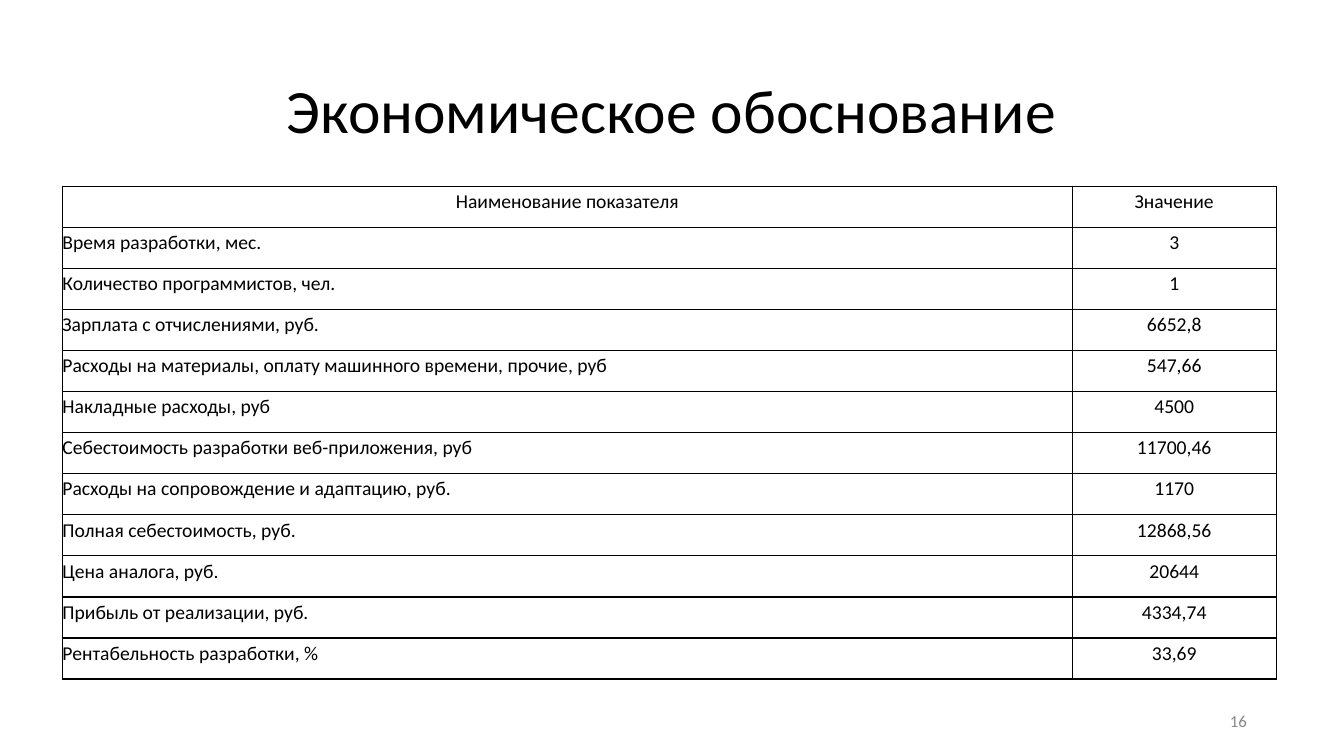
from lxml.etree import SubElement
from pptx import Presentation
from pptx.dml.color import RGBColor
from pptx.enum.text import MSO_ANCHOR, MSO_AUTO_SIZE, PP_ALIGN
from pptx.oxml.ns import qn
from pptx.util import Pt

COLORS = {"text": "000000", "border": "000000", "cell": "FFFFFF", "number": "888888"}

HEADER = ("Наименование показателя", "Значение")
INDICATORS = [
    ("Время разработки, мес.", "3"),
    ("Количество программистов, чел.", "1"),
    ("Зарплата с отчислениями, руб.", "6652,8"),
    ("Расходы на материалы, оплату машинного времени, прочие, руб", "547,66"),
    ("Накладные расходы, руб", "4500"),
    ("Себестоимость разработки веб-приложения, руб", "11700,46"),
    ("Расходы на сопровождение и адаптацию, руб.", "1170"),
    ("Полная себестоимость, руб.", "12868,56"),
    ("Цена аналога, руб.", "20644"),
    ("Прибыль от реализации, руб.", "4334,74"),
    ("Рентабельность разработки, %", "33,69"),
]


class SlideBuilder:
    font = "Calibri"
    inset = 3.6
    table_size = 14
    border_width = 1

    def __init__(self, page):
        self.page = page

    def add_span(self, frame, text, size, color, align, spacing=1.0):
        para = frame.paragraphs[0]
        para.alignment = align
        para.line_spacing = spacing
        span = para.add_run()
        span.text = text
        span.font.name = self.font
        span.font.size = Pt(size)
        span.font.color.rgb = RGBColor.from_string(COLORS[color])

    def text(self, place, text, size, color, align, spacing=1.0, wrap=True):
        box = self.page.shapes.add_textbox(*(Pt(length) for length in place))
        frame = box.text_frame
        frame.word_wrap = wrap
        frame.auto_size = MSO_AUTO_SIZE.NONE if wrap else MSO_AUTO_SIZE.SHAPE_TO_FIT_TEXT
        frame.vertical_anchor = MSO_ANCHOR.MIDDLE
        frame.margin_left = frame.margin_right = Pt(self.inset)
        frame.margin_top = frame.margin_bottom = Pt(self.inset)
        self.add_span(frame, text, size, color, align, spacing)

    def border(self, cell):
        properties = cell._tc.get_or_add_tcPr()
        for side in ("a:lnL", "a:lnR", "a:lnT", "a:lnB"):
            line = SubElement(properties, qn(side), w=str(Pt(self.border_width)))
            fill = SubElement(line, qn("a:solidFill"))
            SubElement(fill, qn("a:srgbClr"), val=COLORS["border"])

    def table(self, left, top, widths, row_height, rows):
        table = self.page.shapes.add_table(
            len(rows), len(widths), Pt(left), Pt(top),
            Pt(sum(widths)), Pt(row_height * len(rows)),
        ).table
        for column, width in zip(table.columns, widths):
            column.width = Pt(width)
        for row_index, values in enumerate(rows):
            table.rows[row_index].height = Pt(row_height)
            for column_index, value in enumerate(values):
                cell = table.cell(row_index, column_index)
                cell.margin_left = cell.margin_right = 0
                cell.margin_top = cell.margin_bottom = 0
                # Borders come before the fill in the cell properties
                self.border(cell)
                cell.fill.solid()
                cell.fill.fore_color.rgb = RGBColor.from_string(COLORS["cell"])
                is_label = row_index > 0 and column_index == 0
                align = PP_ALIGN.LEFT if is_label else PP_ALIGN.CENTER
                self.add_span(cell.text_frame, value, self.table_size, "text", align, 1.15)


def main():
    deck = Presentation()
    deck.slide_width, deck.slide_height = Pt(960), Pt(540)
    builder = SlideBuilder(deck.slides.add_slide(deck.slide_layouts[6]))

    # Title
    builder.text((66, 28.75, 828, 104.4), "Экономическое обоснование", 44,
                 "text", PP_ALIGN.CENTER, 0.9)

    # Indicators
    builder.table(44.6, 133, (721.4, 145.6), 29.36, [HEADER, *INDICATORS])

    # Page number
    builder.text((873.4, 504, 20.9, 21), "16", 12, "number", PP_ALIGN.RIGHT, wrap=False)

    deck.save("out.pptx")


if __name__ == "__main__":
    main()
